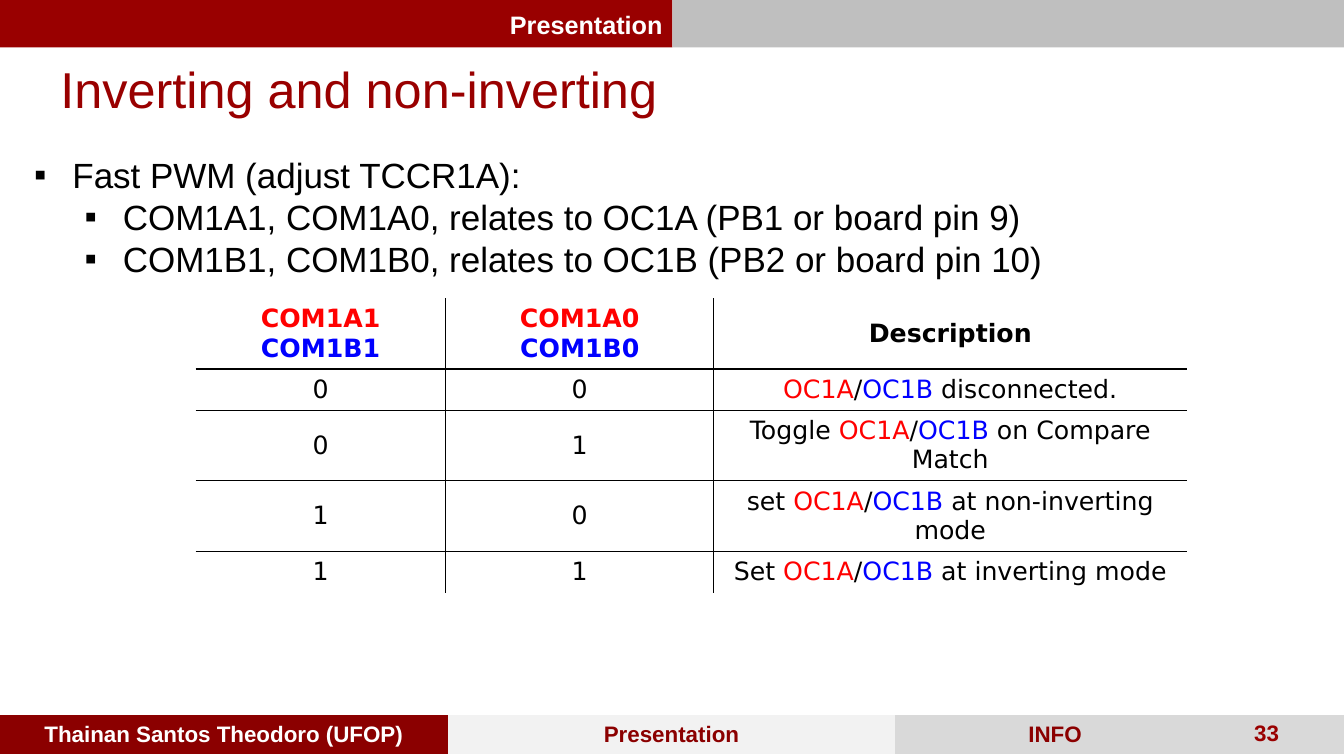
from lxml.etree import SubElement
from pptx import Presentation
from pptx.dml.color import RGBColor
from pptx.enum.shapes import MSO_SHAPE
from pptx.enum.text import MSO_ANCHOR, PP_ALIGN
from pptx.oxml.ns import qn
from pptx.util import Inches, Pt

CRIMSON, MAROON, WHITE, BLACK = "990000", "8B0000", "FFFFFF", "000000"
RED, BLUE = "FF0000", "0000FF"
LEFT, CENTER, RIGHT, JUSTIFY = (
    PP_ALIGN.LEFT, PP_ALIGN.CENTER, PP_ALIGN.RIGHT, PP_ALIGN.JUSTIFY)

SECTION = "Presentation"
TITLE = "Inverting and non-inverting"
BULLETS = [
    (0, "Fast PWM (adjust TCCR1A):"),
    (1, "COM1A1, COM1A0, relates to OC1A (PB1 or board pin 9)"),
    (1, "COM1B1, COM1B0, relates to OC1B (PB2 or board pin 10)"),
]
MODE_HEADER = [("COM1A1", "COM1B1"), ("COM1A0", "COM1B0")]
MODES = [  # two bits, words before and after the output names
    ("0", "0", "", " disconnected."),
    ("0", "1", "Toggle ", " on Compare Match"),
    ("1", "0", "set ", " at non-inverting mode"),
    ("1", "1", "Set ", " at inverting mode"),
]
FOOTER = [  # text, fill, text colour, width
    ("Thainan Santos Theodoro (UFOP)", MAROON, WHITE, 4.44),
    ("Presentation", "F2F2F2", MAROON, 4.44),
    ("INFO", "D9D9D9", MAROON, 3.17),
    ("", "D9D9D9", MAROON, 1.28),
]
PAGE = "33"


def rgb(value):
    return RGBColor.from_string(value)


def write(p, text, size=18, color=BLACK, bold=False, font="Arial", align=LEFT):
    p.alignment = align
    r = p.add_run()
    r.text = text
    r.font.size, r.font.bold, r.font.name = Pt(size), bold, font
    r.font.color.rgb = rgb(color)


def add_bar(s, x, y, w, h, color):
    sp = s.shapes.add_shape(
        MSO_SHAPE.RECTANGLE, Inches(x), Inches(y), Inches(w), Inches(h))
    sp.shadow.inherit = False
    sp.fill.solid()
    sp.fill.fore_color.rgb = rgb(color)
    sp.line.fill.background()


def add_box(s, x, y, w, h, wrap=True):
    tf = s.shapes.add_textbox(
        Inches(x), Inches(y), Inches(w), Inches(h)).text_frame
    tf.word_wrap = wrap
    return tf


def set_bullet(p, level):
    p.level = level
    pPr = p._p.get_or_add_pPr()
    pPr.set("marL", str(Inches(0.38 + 0.5 * level)))
    pPr.set("indent", str(Inches(-0.38)))
    SubElement(pPr, qn("a:buFont"), typeface="Arial")
    SubElement(pPr, qn("a:buChar"), char="▪")


def set_borders(cell, shown=""):
    """Draw a thin black line on the shown edges (L, R, T, B) and none elsewhere."""
    tcPr = cell._tc.get_or_add_tcPr()
    for i, edge in enumerate("LRTB"):
        ln = tcPr.makeelement(qn(f"a:ln{edge}"), {"w": str(Pt(1))})
        tcPr.insert(i, ln)
        if edge in shown:
            fill = SubElement(ln, qn("a:solidFill"))
            SubElement(fill, qn("a:srgbClr"), val=BLACK)
        else:
            SubElement(ln, qn("a:noFill"))


def add_grid(s, x, y, widths, row_count, row_height):
    table = s.shapes.add_table(
        row_count, len(widths), Inches(x), Inches(y),
        Inches(sum(widths)), Inches(row_height * row_count)).table
    table.first_row = table.horz_banding = False
    for column, width in zip(table.columns, widths):
        column.width = Inches(width)
    for row in table.rows:
        row.height = Inches(row_height)
        for cell in row.cells:
            cell.vertical_anchor = MSO_ANCHOR.MIDDLE
            cell.fill.background()
    return table


def mode_rows():
    """Each cell is a list of paragraphs, each a list of (text, colour)."""
    header = [[[(a, RED)], [(b, BLUE)]] for a, b in MODE_HEADER]
    yield header + [[[("Description", BLACK)]]]
    for high, low, before, after in MODES:
        parts = [(before, BLACK), ("OC1A", RED), ("/", BLACK),
                 ("OC1B", BLUE), (after, BLACK)]
        yield [[[(high, BLACK)]], [[(low, BLACK)]],
               [[part for part in parts if part[0]]]]


def add_mode_table(s):
    rows = list(mode_rows())
    table = add_grid(s, 1.94, 2.96, [2.48, 2.66, 4.69], len(rows), 0.41)
    for i, row in enumerate(rows):
        for j, paragraphs in enumerate(row):
            cell = table.cell(i, j)
            edges = (("L" if j > 0 else "") + ("R" if j < len(row) - 1 else "")
                     + ("T" if i > 0 else "") + ("B" if i < len(rows) - 1 else ""))
            set_borders(cell, edges)
            tf = cell.text_frame
            for k, parts in enumerate(paragraphs):
                p = tf.add_paragraph() if k else tf.paragraphs[0]
                for text, color in parts:
                    write(p, text, color=color, bold=i == 0,
                          font="DejaVu Sans", align=CENTER)


def add_footer(s):
    table = add_grid(s, 0, 7.09, [item[3] for item in FOOTER], 1, 0.39)
    for cell, (text, fill, color, _) in zip(table.rows[0].cells, FOOTER):
        cell.fill.solid()
        cell.fill.fore_color.rgb = rgb(fill)
        set_borders(cell)
        cell.margin_left = cell.margin_right = Inches(0.13)
        write(cell.text_frame.paragraphs[0], text, size=16, color=color,
              bold=True, align=CENTER)
    page = add_box(s, 12.34, 7.09, 0.57, 0.37, wrap=False)
    write(page.paragraphs[0], PAGE, size=16, color=CRIMSON, bold=True)


def main():
    prs = Presentation()
    prs.slide_width, prs.slide_height = Inches(13.33), Inches(7.5)
    s = prs.slides.add_slide(prs.slide_layouts[6])

    add_footer(s)
    add_bar(s, 0, 0, 6.67, 0.47, CRIMSON)
    add_bar(s, 6.67, 0, 6.66, 0.47, "BFBFBF")
    section = add_box(s, 0, 0.04, 6.67, 0.4)
    write(section.paragraphs[0], SECTION, color=WHITE, bold=True, align=RIGHT)

    title = add_box(s, 0, 0.53, 13.33, 0.71)
    title.margin_left = Inches(0.6)
    write(title.paragraphs[0], TITLE, size=36, color=CRIMSON)

    body = add_box(s, 0.24, 1.47, 12.49, 1.78)
    for i, (level, text) in enumerate(BULLETS):
        p = body.add_paragraph() if i else body.paragraphs[0]
        set_bullet(p, level)
        write(p, text, size=25, align=JUSTIFY)

    add_mode_table(s)
    prs.save("out.pptx")


if __name__ == "__main__":
    main()
